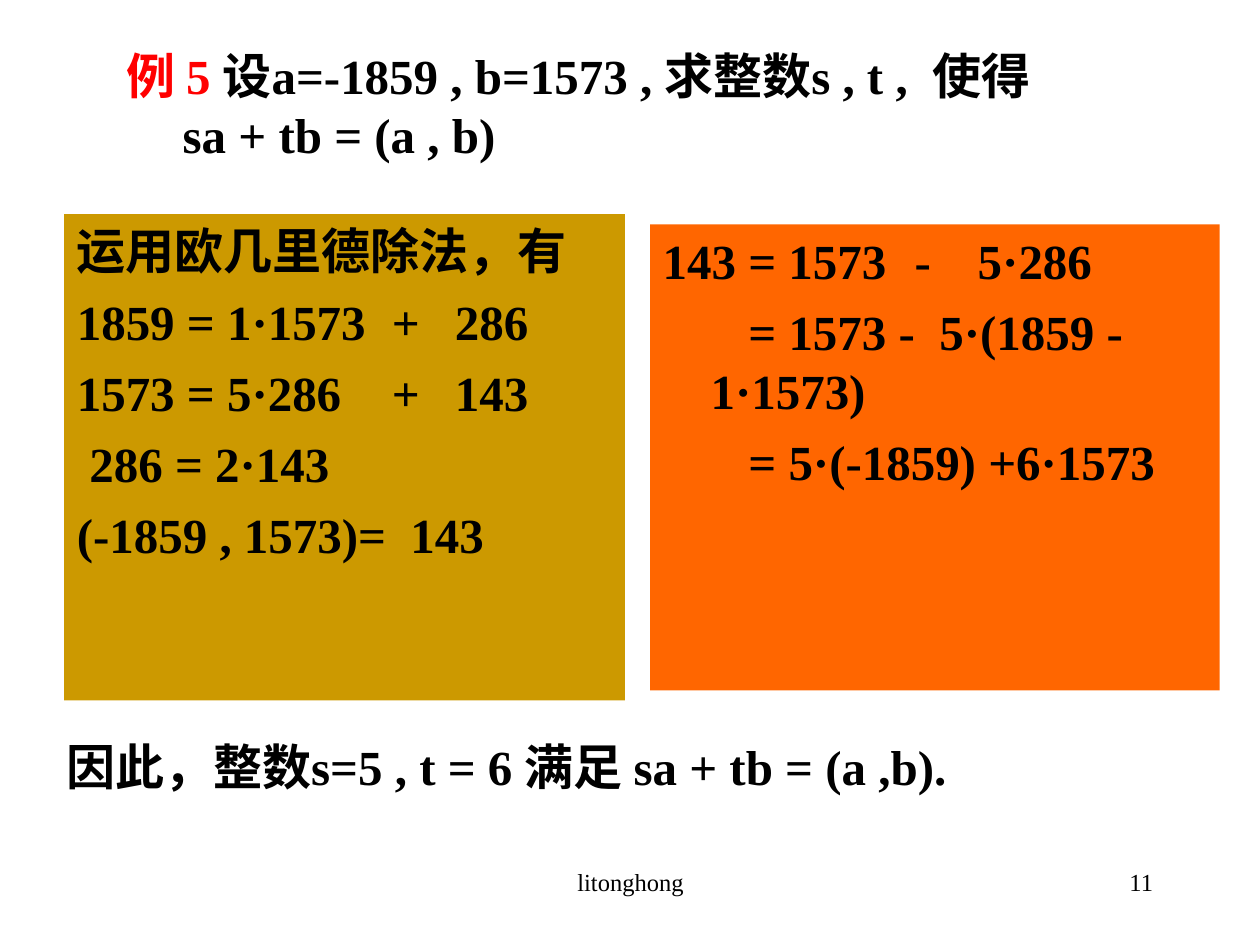
from pptx import Presentation
from pptx.dml.color import RGBColor
from pptx.enum.text import MSO_ANCHOR, MSO_AUTO_SIZE, PP_ALIGN
from pptx.util import Inches, Pt
from lxml.etree import SubElement
from pptx.oxml.ns import qn

FONT = "Times New Roman"
BLACK, RED = "000000", "FF0000"

# Content: each line is (text, left margin, first-line indent), in inches
TITLE_LABEL = "例 5 "
TITLE_LINES = [("设a=-1859 , b=1573 , 求整数s , t ,  使得", 0, 0),
               ("sa + tb = (a , b)", 0.45, 0)]
PANELS = [
    {"box": (0.51, 1.7, 4.45, 3.86), "fill": "CC9900", "tabs": (2.48, 2.9),
     "lines": [("运用欧几里德除法，有", 0, 0),
               ("1859 = 1·1573\t+\t286", 0, 0),
               ("1573 = 5·286\t+\t143", 0, 0),
               ("286 = 2·143", 0.1, 0),
               ("(-1859 , 1573)=  143", 0, 0)]},
    {"box": (5.16, 1.78, 4.52, 3.7), "fill": "FF6600", "tabs": (2.16, 2.78),
     "lines": [("143 = 1573\t-\t5·286", 0, 0),
               ("= 1573 -  5·(1859 - 1·1573)", 0.38, 0.3),
               ("= 5·(-1859) +6·1573", 0.68, 0)]},
]
CONCLUSION = [("因此，整数s=5 , t = 6 满足 sa + tb = (a ,b).", 0, 0)]
FOOTERS = [("litonghong", (3.42, 6.83, 3.17, 0.5), PP_ALIGN.CENTER),
           ("11", (7.17, 6.83, 2.08, 0.5), PP_ALIGN.RIGHT)]


def color(hex_value):
    return RGBColor.from_string(hex_value)


def place(shape, box):
    shape.left, shape.top, shape.width, shape.height = map(Inches, box)


def write(shape, lines, size=28, bold=True, align=PP_ALIGN.LEFT, before=0, tabs=()):
    frame = shape.text_frame
    frame.word_wrap = True
    frame.auto_size = MSO_AUTO_SIZE.NONE
    frame.vertical_anchor = MSO_ANCHOR.TOP
    for number, (text, margin, indent) in enumerate(lines):
        paragraph = frame.add_paragraph() if number else frame.paragraphs[0]
        paragraph.add_run().text = text
        paragraph.alignment = align
        paragraph.space_before = Pt(before)
        font = paragraph.font
        font.name, font.size, font.bold = FONT, Pt(size), bold
        font.color.rgb = color(BLACK)
        # Indents, no bullet and tab stops, in schema order before the font
        properties = paragraph._p.get_or_add_pPr()
        properties.set("marL", str(Inches(margin)))
        properties.set("indent", str(Inches(indent)))
        run_defaults = properties.find(qn("a:defRPr"))
        run_defaults.addprevious(SubElement(properties, qn("a:buNone")))
        if "\t" in text:
            tab_list = SubElement(properties, qn("a:tabLst"))
            for stop in tabs:
                SubElement(tab_list, qn("a:tab"), pos=str(Inches(stop)), algn="l")
            run_defaults.addprevious(tab_list)
    return frame


presentation = Presentation()
presentation.slide_width, presentation.slide_height = Inches(10), Inches(7.5)
slide = presentation.slides.add_slide(presentation.slide_layouts[3])
title, *bodies = slide.placeholders

# Title with a red label in front
place(title, (0.9, 0.36, 8.25, 1.25))
label = title.text_frame.paragraphs[0].add_run()
label.text = TITLE_LABEL
label.font.color.rgb = color(RED)
write(title, TITLE_LINES).margin_top = 0

# Two coloured panels
for body, panel in zip(bodies, PANELS):
    place(body, panel["box"])
    body.fill.solid()
    body.fill.fore_color.rgb = color(panel["fill"])
    write(body, panel["lines"], before=7, tabs=panel["tabs"])

# Conclusion
conclusion = slide.shapes.add_textbox(*map(Inches, (0.43, 5.8, 8.82, 0.57)))
write(conclusion, CONCLUSION, before=7)

# Footer and page number
for text, box, align in FOOTERS:
    footer = slide.shapes.add_textbox(*map(Inches, box))
    write(footer, [(text, 0, 0)], size=14, bold=False, align=align)

presentation.save("out.pptx")
